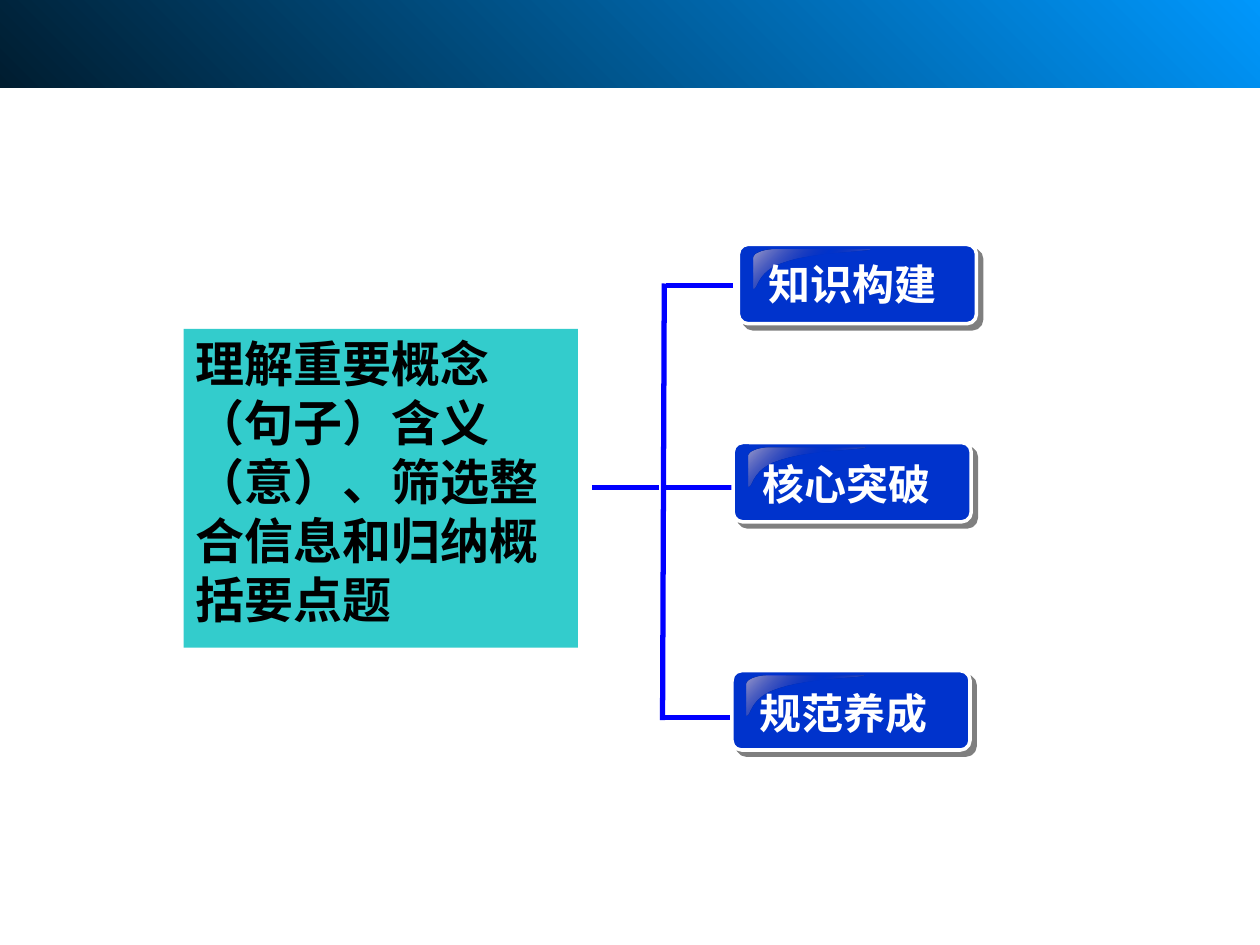
from lxml.etree import SubElement
from pptx import Presentation
from pptx.dml.color import RGBColor
from pptx.enum.shapes import MSO_CONNECTOR, MSO_SHAPE
from pptx.enum.text import MSO_ANCHOR, PP_ALIGN
from pptx.oxml import parse_xml
from pptx.oxml.ns import nsdecls, qn
from pptx.util import Pt

BLACK = RGBColor(0x00, 0x00, 0x00)
WHITE = RGBColor(0xFF, 0xFF, 0xFF)
TEAL = RGBColor(0x33, 0xCC, 0xCC)
CARD_BLUE = RGBColor(0x00, 0x33, 0xCC)
LINE_BLUE = RGBColor(0x00, 0x00, 0xFF)
SKY = RGBColor(0x00, 0x99, 0xFF)
NAVY = RGBColor(0x00, 0x1D, 0x30)
LILAC = RGBColor(0x9B, 0x9B, 0xCC)
INDIGO = RGBColor(0x33, 0x33, 0x99)


def fill_gradient(shape, stops, angle):
    shape.shadow.inherit = False
    shape.line.fill.background()
    marks = "".join(
        f'<a:gs pos="{position * 1000}"><a:srgbClr val="{color}">'
        f'<a:alpha val="{alpha * 1000}"/></a:srgbClr></a:gs>'
        for position, color, alpha in stops)
    shape.fill.background()
    properties = shape.element.spPr
    properties.replace(properties.find(qn("a:noFill")), parse_xml(
        f'<a:gradFill {nsdecls("a")} rotWithShape="1"><a:gsLst>{marks}</a:gsLst>'
        f'<a:lin ang="{angle * 60000}" scaled="0"/></a:gradFill>'))


def write_text(shape, text, size, color):
    shape.text_frame.word_wrap = True
    paragraph = shape.text_frame.paragraphs[0]
    paragraph.text = text
    paragraph.alignment = PP_ALIGN.LEFT
    paragraph.font.name = "Times New Roman"
    paragraph.font.size = Pt(size)
    paragraph.font.bold = True
    paragraph.font.color.rgb = color


presentation = Presentation()
presentation.slide_width, presentation.slide_height = Pt(720), Pt(540)
slide = presentation.slides.add_slide(presentation.slide_layouts[6])
shapes = slide.shapes

header = shapes.add_shape(MSO_SHAPE.RECTANGLE, Pt(0), Pt(-12.4), Pt(720), Pt(62.7))
fill_gradient(header, [(0, SKY, 100), (100, NAVY, 100)], 135)

topic = shapes.add_shape(MSO_SHAPE.RECTANGLE, Pt(104.9), Pt(187.9), Pt(225.4), Pt(182.2))
topic.shadow.inherit = False
topic.fill.solid()
topic.fill.fore_color.rgb = TEAL
topic.line.fill.background()
topic.text_frame.vertical_anchor = MSO_ANCHOR.TOP
topic.text_frame.margin_top = Pt(2.9)
topic.text_frame.margin_bottom = Pt(11.5)
write_text(topic, "理解重要概念（句子）含义（意）、筛选整合信息和归纳概括要点题", 28, BLACK)

branches = [
    (338.4, 278.5, 376.6, 278.5),
    (379.6, 162, 378.6, 411.5),
    (380.7, 163, 419, 163),
    (380.7, 278.5, 419, 278.5),
    (379.2, 409.9, 417.4, 409.9),
]
for x1, y1, x2, y2 in branches:
    branch = shapes.add_connector(MSO_CONNECTOR.STRAIGHT, Pt(x1), Pt(y1), Pt(x2), Pt(y2))
    branch.line.color.rgb = LINE_BLUE
    branch.line.width = Pt(3)
    SubElement(branch.element.spPr, qn("a:effectLst"))

shine_curves = [
    [(13, 0), (5.8, 0), (0, 2.2), (0, 5)],
    [(0, 22.3), (2.9, 23), (1.4, 12.2), (18, 7.2)],
    [(18, 7.2), (35.3, 1.4), (67.7, 1.4), (67, 0)],
]
shine_outline = []
for curve in shine_curves:
    for step in range(13):
        t = step / 12
        weights = ((1 - t) ** 3, 3 * t * (1 - t) ** 2, 3 * t ** 2 * (1 - t), t ** 3)
        shine_outline.append([
            sum(weight * point[axis] for weight, point in zip(weights, curve))
            for axis in (0, 1)])

cards = [
    ("知识构建", 422, 139.7, 432, 144),
    ("核心突破", 419, 252.9, 428.4, 258.5),
    ("规范养成", 418.3, 383.3, 426.8, 389),
]
for title, left, top, title_left, title_top in cards:
    card = shapes.add_shape(MSO_SHAPE.ROUNDED_RECTANGLE, Pt(left), Pt(top), Pt(136), Pt(45.3))
    card.adjustments[0] = 0.12
    card.fill.solid()
    card.fill.fore_color.rgb = CARD_BLUE
    card.line.color.rgb = WHITE
    card.line.width = Pt(2)
    card.shadow.inherit = False
    card.element.spPr.find(qn("a:effectLst")).append(parse_xml(
        f'<a:outerShdw {nsdecls("a")} blurRad="0" dist="{Pt(4.2)}" dir="2700000" '
        f'algn="ctr" rotWithShape="0"><a:srgbClr val="{BLACK}">'
        '<a:alpha val="50000"/></a:srgbClr></a:outerShdw>'))

    outline = [(Pt(left + 8.6 + x), Pt(top + 2.9 + y)) for x, y in shine_outline]
    builder = shapes.build_freeform(*outline[0])
    builder.add_line_segments(outline[1:], close=True)
    shine = builder.convert_to_shape()
    fill_gradient(shine, [(0, LILAC, 100), (50, INDIGO, 0), (100, LILAC, 100)], 225)

    label = shapes.add_textbox(Pt(title_left), Pt(title_top), Pt(129.6), Pt(36))
    label.text_frame.vertical_anchor = MSO_ANCHOR.MIDDLE
    write_text(label, title, 24, WHITE)

presentation.save("out.pptx")
